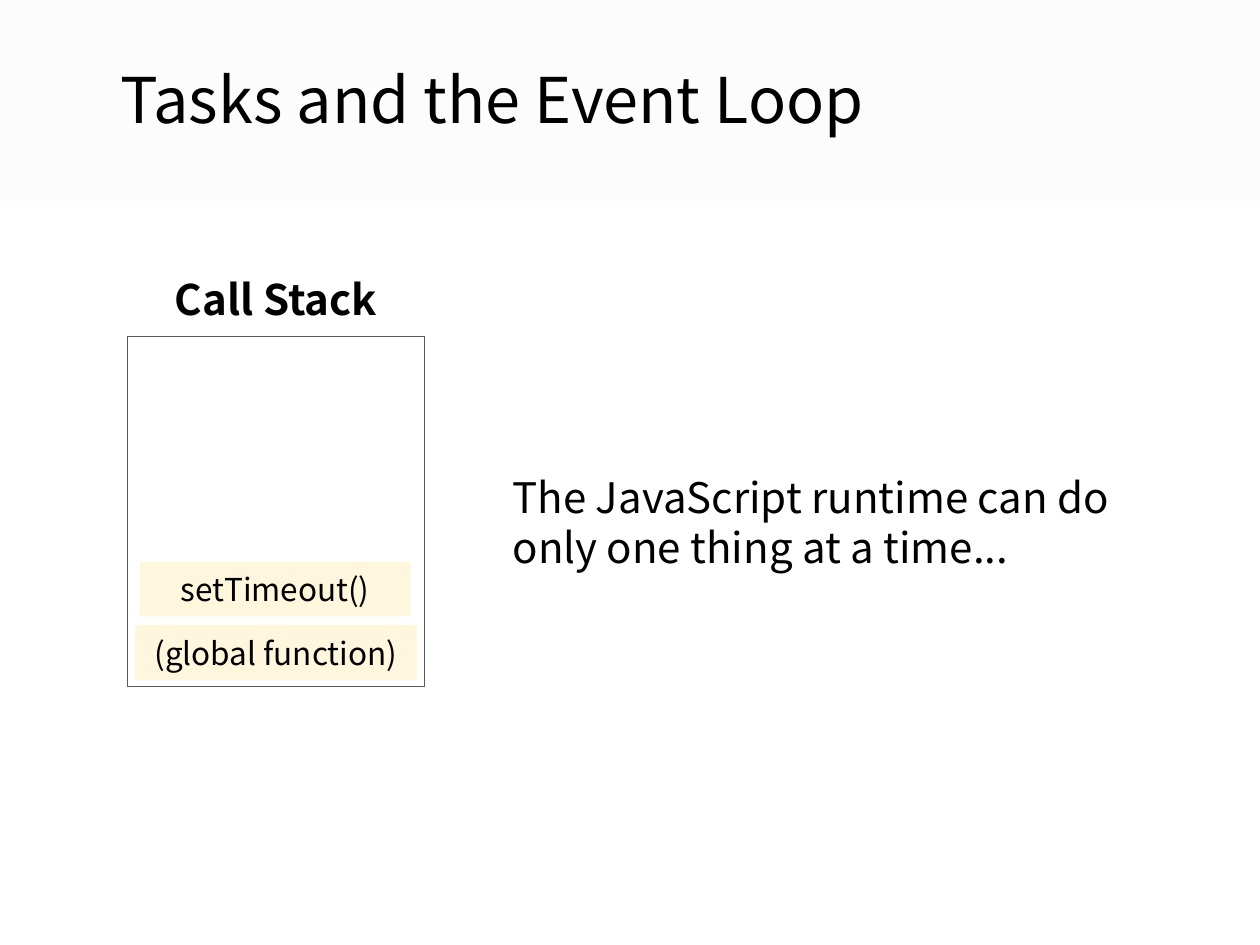
from dataclasses import dataclass

from lxml import etree
from pptx import Presentation
from pptx.dml.color import RGBColor
from pptx.enum.shapes import MSO_SHAPE
from pptx.enum.text import MSO_ANCHOR, PP_ALIGN
from pptx.oxml.ns import qn
from pptx.util import Inches, Pt

RECTANGLE = MSO_SHAPE.RECTANGLE
TOP, MIDDLE = MSO_ANCHOR.TOP, MSO_ANCHOR.MIDDLE
LEFT, CENTER = PP_ALIGN.LEFT, PP_ALIGN.CENTER


@dataclass(frozen=True)
class Theme:
    font: str = "Noto Sans CJK SC"
    ink: RGBColor = RGBColor(0x00, 0x00, 0x00)
    band: RGBColor = RGBColor(0xF3, 0xF3, 0xF3)
    frame: RGBColor = RGBColor(0x59, 0x59, 0x59)
    call: RGBColor = RGBColor(0xFF, 0xD9, 0x66)
    opacity: str = "21000"
    title: Pt = Pt(36)
    body: Pt = Pt(24)
    label: Pt = Pt(18)


theme = Theme()
deck = Presentation()
deck.slide_width, deck.slide_height = Inches(10), Inches(7.5)
page = deck.slides.add_slide(deck.slide_layouts[6])


def add_rectangle(place, color=None):
    shape = page.shapes.add_shape(RECTANGLE, *map(Inches, place))
    shape.shadow.inherit = False
    if color is None:
        shape.fill.background()
        shape.line.color.rgb = theme.frame
        shape.line.width = Pt(0.75)
    else:
        shape.fill.solid()
        shape.fill.fore_color.rgb = color
        shape.line.fill.background()
        tint = shape.fill._xPr.find(qn("a:solidFill"))[0]
        etree.SubElement(tint, qn("a:alpha"), val=theme.opacity)
    return shape


def write(box, text, size, align=LEFT, anchor=MIDDLE, bold=False):
    frame = box.text_frame
    frame.word_wrap = True
    frame.vertical_anchor = anchor
    frame.margin_left = frame.margin_right = Inches(0.1)
    frame.margin_top = frame.margin_bottom = Inches(0.1)
    para = frame.paragraphs[0]
    para.text = text
    para.alignment = align
    para.font.name = theme.font
    para.font.size = size
    para.font.bold = bold
    para.font.color.rgb = theme.ink


add_rectangle((0, 0, 10, 1.59), theme.band)
add_rectangle((1.01, 2.67, 2.36, 2.78))

texts = [
    ((0.86, 0.38, 8.29, 0.83), "Tasks and the Event Loop", theme.title, LEFT, TOP, False),
    ((1.01, 2.13, 2.36, 0.48), "Call Stack", theme.body, CENTER, MIDDLE, True),
    ((3.97, 2.75, 5.01, 2.78), "The JavaScript runtime can do only one thing at a time...",
     theme.body, LEFT, MIDDLE, False),
]
for place, text, size, align, anchor, bold in texts:
    box = page.shapes.add_textbox(*map(Inches, place))
    write(box, text, size, align, anchor, bold)

calls = [
    ((1.07, 4.96, 2.24, 0.44), "(global function)"),
    ((1.11, 4.46, 2.15, 0.43), "setTimeout()"),
]
for place, text in calls:
    write(add_rectangle(place, theme.call), text, theme.label, CENTER)

deck.save("out.pptx")
